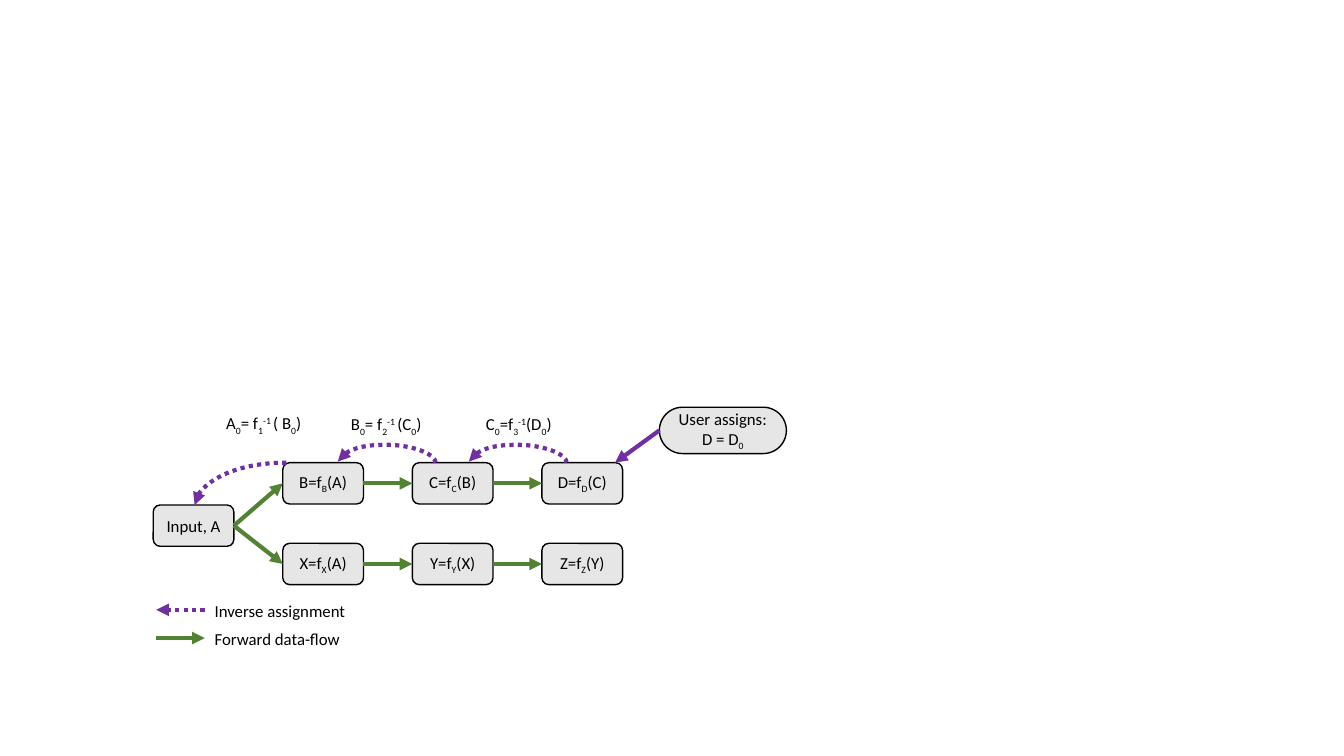
from lxml import etree
from pptx import Presentation
from pptx import util as u
from pptx.dml.color import RGBColor
from pptx.enum import dml, shapes, text
from pptx.oxml.ns import qn

# Content: "|" separates runs, "_" starts a subscript and "^" a superscript
INPUT = "Input, A"
CHAINS = [
    (4.59, ["B=f|_B|(A)", "C=f|_C|(B)", "D=f|_D|(C)"]),
    (5.39, ["X=f|_X|(A)", "Y=f|_Y|(X)", "Z=f|_Z|(Y)"]),
]
USER = ["User assigns:", "D = D|_0"]
INVERSES = [
    (2.12, 4.05, 0.99, "A|_0|= f|_1|^-1 |( B|_0|)"),
    (3.36, 4.06, 0.94, "B|_0|= f|_2|^-1 |(C|_0|)"),
    (4.70, 4.06, 0.89, "C|_0|=f|_3|^-1|(D|_0|)"),
]
INVERSE_KEY, FORWARD_KEY = "Inverse assignment", "Forward data-flow"

# Layout in inches
LEFT, STEP, BOX_WIDTH, BOX_HEIGHT = 1.52, 1.285, 0.8, 0.41
INPUT_TOP = 5.01
USER_BOX = (6.54, 4.04, 1.26, 0.46)
KEY_LEFT, KEY_RIGHT, INVERSE_KEY_Y, FORWARD_KEY_Y = 1.55, 2.03, 6.05, 6.33
LABEL_HEIGHT = 0.3
BASELINES = {"_": "-25000", "^": "30000"}
GREY, BLACK, GREEN, PURPLE = "E7E6E6", "000000", "548235", "7030A0"

presentation = Presentation()
presentation.slide_width = u.Inches(13.33)
presentation.slide_height = u.Inches(7.5)
slide = presentation.slides.add_slide(presentation.slide_layouts[6])


def inches(*values):
    """Convert numbers to lengths in inches."""
    return [u.Inches(value) for value in values]


def color(hex_string):
    """Turn a hex string into a colour."""
    return RGBColor.from_string(hex_string)


def write(frame, lines, align=text.PP_ALIGN.CENTER, size=12, font="Calibri"):
    """Fill a text frame with lines of marked-up runs."""
    for number, line in enumerate(lines):
        paragraph = frame.add_paragraph() if number else frame.paragraphs[0]
        paragraph.alignment = align
        for part in line.split("|"):
            run = paragraph.add_run()
            baseline = BASELINES.get(part[0])
            run.text = part[1:] if baseline else part
            run.font.size = u.Pt(size)
            run.font.name = font
            run.font.color.rgb = color(BLACK)
            if baseline:
                run.font._element.set("baseline", baseline)


def add_box(lines, left, top, width=BOX_WIDTH, height=BOX_HEIGHT, rounding=None):
    """Draw a grey rounded box with centred text."""
    shape = slide.shapes.add_shape(
        shapes.MSO_SHAPE.ROUNDED_RECTANGLE, *inches(left, top, width, height))
    shape.shadow.inherit = False
    shape.fill.solid()
    shape.fill.fore_color.rgb = color(GREY)
    shape.line.color.rgb = color(BLACK)
    shape.line.width = u.Pt(1)
    if rounding is not None:
        shape.adjustments[0] = rounding
    shape.text_frame.word_wrap = True
    shape.text_frame.vertical_anchor = text.MSO_ANCHOR.MIDDLE
    write(shape.text_frame, lines)


def add_label(label, left, top, width, align=text.PP_ALIGN.CENTER):
    """Place one unwrapped line of text."""
    box = slide.shapes.add_textbox(*inches(left, top, width, LABEL_HEIGHT))
    box.text_frame.word_wrap = False
    box.text_frame.auto_size = text.MSO_AUTO_SIZE.SHAPE_TO_FIT_TEXT
    write(box.text_frame, [label], align=align)


def add_arrow(start, end, hex_string, dotted=False, kind=shapes.MSO_CONNECTOR.STRAIGHT):
    """Draw a connector with an arrowhead at its end."""
    arrow = slide.shapes.add_connector(kind, *inches(*start, *end))
    arrow.line.color.rgb = color(hex_string)
    arrow.line.width = u.Pt(3)
    if dotted:
        arrow.line.dash_style = dml.MSO_LINE.ROUND_DOT
    etree.SubElement(arrow.line._get_or_add_ln(), qn("a:tailEnd"), type="triangle")
    etree.SubElement(arrow._element.spPr, qn("a:effectLst"))
    return arrow


def add_curve(left, top, width, height, preset, turn, bend=None):
    """Draw a dotted inverse arrow as a flipped, turned curve."""
    curve = add_arrow((left, top), (left + width, top + height), PURPLE,
                      dotted=True, kind=shapes.MSO_CONNECTOR.CURVE)
    properties = curve._element.spPr
    frame = properties.find(qn("a:xfrm"))
    frame.set("rot", str(turn * 60000))
    frame.set("flipV", "1")
    geometry = properties.find(qn("a:prstGeom"))
    geometry.set("prst", preset)
    if bend is not None:
        guides = geometry.find(qn("a:avLst"))
        etree.SubElement(guides, qn("a:gd"), name="adj1", fmla=f"val {bend * 100000}")


# Boxes and forward arrows
input_right = (LEFT + BOX_WIDTH, INPUT_TOP + BOX_HEIGHT / 2)
add_box([INPUT], LEFT, INPUT_TOP)
for top, functions in CHAINS:
    start = input_right
    for column, function in enumerate(functions, 1):
        left, middle = LEFT + column * STEP, top + BOX_HEIGHT / 2
        add_box([function], left, top)
        add_arrow(start, (left, middle), GREEN)
        start = (left + BOX_WIDTH, middle)

# User assignment and inverse arrows
add_box(USER, *USER_BOX, rounding=0.5)
inverse_top = CHAINS[0][0]
add_arrow((USER_BOX[0], USER_BOX[1] + USER_BOX[3] / 2), (6.1, inverse_top), PURPLE)
for center in (5.13, 3.83):
    add_curve(center, 4.1, 0.01, 0.97, "curvedConnector3", 270, bend=18)
add_curve(1.93, inverse_top, 0.91, INPUT_TOP - inverse_top, "curvedConnector2", 180)
for left, top, width, label in INVERSES:
    add_label(label, left, top, width)

# Key
add_arrow((KEY_RIGHT, INVERSE_KEY_Y), (KEY_LEFT, INVERSE_KEY_Y), PURPLE, dotted=True)
add_arrow((KEY_LEFT, FORWARD_KEY_Y), (KEY_RIGHT, FORWARD_KEY_Y), GREEN)
for label, middle in ((INVERSE_KEY, INVERSE_KEY_Y), (FORWARD_KEY, FORWARD_KEY_Y)):
    add_label(label, KEY_RIGHT, middle - 0.14, 1.5, align=text.PP_ALIGN.LEFT)

presentation.save("out.pptx")
